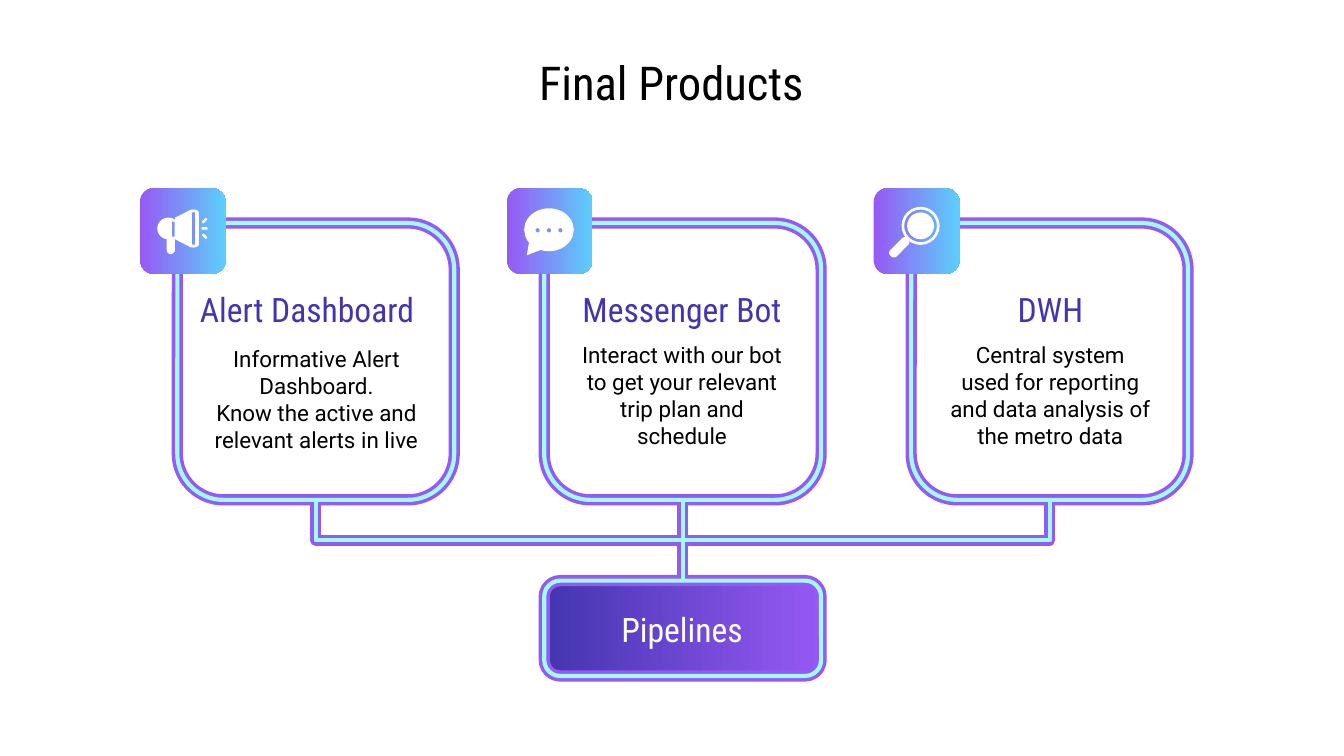
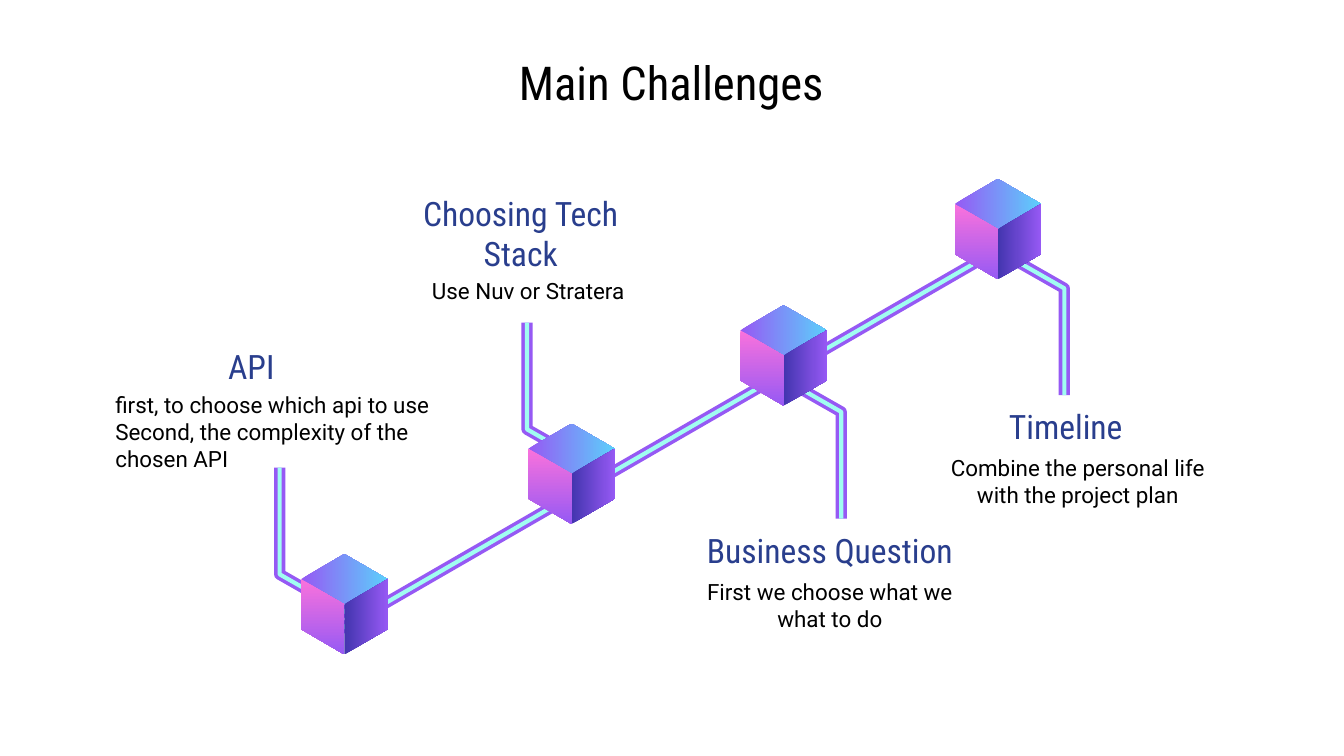
from lxml import etree
from pptx import Presentation
from pptx.dml.color import RGBColor
from pptx.enum import shapes, text
from pptx.oxml import ns
from pptx.util import Pt

BLACK = RGBColor(0x00, 0x00, 0x00)
WHITE = RGBColor(0xFF, 0xFF, 0xFF)
VIOLET = RGBColor(0x96, 0x59, 0xF4)
MINT = RGBColor(0xA0, 0xFD, 0xF1)
SKY = RGBColor(0x5C, 0xCF, 0xFB)
PINK = RGBColor(0xFA, 0x72, 0xDC)
INDIGO = RGBColor(0x43, 0x35, 0xAF)
NAVY = RGBColor(0x29, 0x3E, 0x8D)
MID = RGBColor(0x7B, 0x93, 0xF7)

HEAD = "Roboto Condensed"
BODY = "Roboto"
TRACK = ((VIOLET, 6), (MINT, 2.25))

KIND = shapes.MSO_SHAPE
LINK = shapes.MSO_CONNECTOR
MIDDLE = text.MSO_ANCHOR.MIDDLE
TOP = text.MSO_ANCHOR.TOP
CENTER = text.PP_ALIGN.CENTER
LEFT = text.PP_ALIGN.LEFT

CARD = 148.32
CARD_X, CARD_Y, STEP = 95.04, 119.52, 196.56
BASE_Y, BASE_H = 311.04, 51.12


def paint(shape, fill=None, line=None, angle=0):
    """fill: a colour, a pair of gradient colours or None; line: (colour, width)."""
    shape.shadow.inherit = False
    if fill is None:
        shape.fill.background()
    elif isinstance(fill, RGBColor):
        shape.fill.solid()
        shape.fill.fore_color.rgb = fill
    else:
        shape.fill.gradient()
        shape.fill.gradient_angle = -angle % 360
        for stop, color, place in zip(shape.fill.gradient_stops, fill, (0, 1)):
            stop.color.rgb = color
            stop.position = place
    if line:
        shape.line.color.rgb = line[0]
        shape.line.width = Pt(line[1])
    else:
        shape.line.fill.background()
    return shape


def add_form(slide, kind, box, fill=None, line=None, adj=None, turn=0):
    shape = slide.shapes.add_shape(kind, *map(Pt, box))
    if adj is not None:
        shape.adjustments[0] = adj
    shape.rotation = turn
    return paint(shape, fill, line)


def add_round(slide, box, adj=0.167, **look):
    return add_form(slide, KIND.ROUNDED_RECTANGLE, box, adj=adj, **look)


def add_disc(slide, x, y, r, kind=KIND.OVAL, **look):
    return add_form(slide, kind, (x - r, y - r, 2 * r, 2 * r), **look)


def add_path(slide, dots, close=True, **look):
    first, *rest = [(Pt(x), Pt(y)) for x, y in dots]
    maker = slide.shapes.build_freeform(*first)
    maker.add_line_segments(rest, close=close)
    return paint(maker.convert_to_shape(), **look)


def add_link(slide, kind, ends, line):
    link = slide.shapes.add_connector(kind, *map(Pt, ends))
    link.line.color.rgb = line[0]
    link.line.width = Pt(line[1])
    etree.SubElement(link._element.spPr, ns.qn("a:effectLst"))
    return link


def add_elbow(slide, x, y, span, drop, side, line):
    """Down, across and down about (x, y); side 1 runs right, -1 runs left."""
    half = side * drop / 2
    ends = (x + half, y - span / 2, x - half, y + span / 2)
    link = add_link(slide, LINK.ELBOW, ends, line)
    turn = 270 if side > 0 else 90
    link._element.spPr.find(ns.qn("a:xfrm")).set("rot", str(turn * 60000))


def add_text(slide, words, box, size=12, font=BODY, color=BLACK,
             align=CENTER, anchor=MIDDLE, indent=0):
    frame = slide.shapes.add_textbox(*map(Pt, box)).text_frame
    frame.word_wrap = True
    frame.vertical_anchor = anchor
    for side in ("left", "top", "right", "bottom"):
        setattr(frame, "margin_" + side, Pt(7.2))
    para = frame.paragraphs[0]
    para.text = words
    para.alignment = align
    if indent:
        para._p.get_or_add_pPr().set("marL", str(Pt(indent)))
    for run in para.runs:
        run.font.size = Pt(size)
        run.font.name = font
        run.font.color.rgb = color


def add_head(slide, words, box, color):
    add_text(slide, words, box, size=18, font=HEAD, color=color)


def add_slide(deck, title):
    slide = deck.slides.add_slide(deck.slide_layouts[6])
    add_text(slide, title, (40.32, 23.76, 638.64, 40.32), size=25, font=HEAD)
    return slide


def draw_horn(slide, x, y):
    add_round(slide, (x + 9.4, y + 15.8, 12, 11.6), adj=0.5, fill=WHITE)
    add_round(slide, (x + 14.4, y + 24, 4.4, 11.4), adj=0.5, fill=WHITE)
    cone = ((19, 15.8), (27.4, 11.5), (29, 11.5), (29, 31.7), (27.4, 31.7), (19, 27.4))
    add_path(slide, [(x + dx, y + dy) for dx, dy in cone], fill=WHITE)
    add_round(slide, (x + 26.8, y + 11.5, 4.9, 20.2), adj=0.4, fill=WHITE)
    for dx, dy, w, h in ((17.3, 18, 1.4, 8), (28.1, 13, 1.5, 17.3)):
        add_form(slide, KIND.RECTANGLE, (x + dx, y + dy, w, h), fill=MID)
    for way in (-1, 0, 1):
        add_round(slide, (x + 33, y + 20.9 + 4.2 * way, 3.4, 1.4),
                  adj=0.5, fill=WHITE, turn=45 * way)


def draw_chat(slide, x, y):
    add_form(slide, KIND.OVAL, (x + 9.4, y + 10.8, 26.6, 23), fill=WHITE)
    tail = ((12, 29), (10.8, 36), (18.5, 33))
    add_path(slide, [(x + dx, y + dy) for dx, dy in tail], fill=WHITE)
    for i in range(3):
        add_disc(slide, x + 16.6 + 6.1 * i, y + 22.6, 1.1, fill=MID)


def draw_lens(slide, x, y):
    add_disc(slide, x + 25.2, y + 20.2, 10.2, kind=KIND.DONUT, adj=0.07, fill=WHITE)
    add_disc(slide, x + 25.2, y + 20.2, 7.2, fill=WHITE)
    add_round(slide, (x + 7.3, y + 29.3, 13, 4.8), adj=0.4, fill=WHITE, turn=-45)


def draw_cube(slide, x, y):
    """An isometric cube with its top corner at (x, y)."""
    w, h, deep = 23.2, 13.5, 26.8
    near = (x, y + 2 * h)
    foot = (x, y + 2 * h + deep)
    left, right = (x - w, y + h), (x + w, y + h)
    add_path(slide, [(x, y), right, near, left], fill=(VIOLET, SKY))
    add_path(slide, [left, near, foot, (x - w, y + h + deep)],
             fill=(PINK, VIOLET), angle=90)
    add_path(slide, [right, near, foot, (x + w, y + h + deep)], fill=(INDIGO, VIOLET))


def draw_arm(slide, x, y, way):
    """A bent track from (x, y): way 1 goes right and down, -1 left and up."""
    side, bend = x + 37.4 * way, y + 21.3 * way
    for line in TRACK:
        add_path(slide, [(x, y), (side, bend), (side, bend + 57.2 * way)],
                 close=False, line=line)


def make_products(deck):
    slide = add_slide(deck, "Final Products")
    cards = (
        (draw_horn, "Alert Dashboard", (98.64, 155.52, 131.76, 20.16),
         "Informative Alert Dashboard.\nKnow the active and relevant alerts in live",
         (103.68, 177.84, 131.76, 59.76)),
        (draw_chat, "Messenger Bot", (304.56, 155.52, 121.68, 20.16),
         "Interact with our bot to get your relevant trip plan and schedule",
         (304.56, 175.68, 121.68, 59.76)),
        (draw_lens, "DWH", (501.84, 155.52, 121.68, 20.16),
         "Central system used for reporting and data analysis of the metro data",
         (501.84, 175.68, 121.68, 59.76)),
    )
    lefts = [CARD_X + STEP * i for i in range(len(cards))]
    base = (lefts[1], BASE_Y, CARD, BASE_H)
    mid = lefts[1] + CARD / 2
    low = CARD_Y + CARD
    drop = BASE_Y - low
    for line in TRACK:
        frames = [add_round(slide, (x, CARD_Y, CARD, CARD), line=line) for x in lefts]
        fill = (INDIGO, VIOLET) if line is TRACK[0] else None
        pipe = add_round(slide, base, fill=fill, line=line)
        for side in (1, -1):
            add_elbow(slide, mid - side * STEP / 2, low + drop / 2, STEP, drop, side, line)
        link = add_link(slide, LINK.STRAIGHT, (mid, low, mid, BASE_Y), line)
        link.begin_connect(frames[1], 2)
        link.end_connect(pipe, 0)
    for x, (icon, head, top, words, box) in zip(lefts, cards):
        spot = (x - 20.16, 100.8)
        add_round(slide, (*spot, 46.08, 46.08), fill=(VIOLET, SKY))
        icon(slide, *spot)
        add_head(slide, head, top, INDIGO)
        add_text(slide, words, box, anchor=TOP)
    add_head(slide, "Pipelines", (304.56, 326.88, 121.68, 20.16), WHITE)


def make_hurdles(deck):
    slide = add_slide(deck, "Main Challenges")
    for x, y, way in ((413.3, 199.4, 1), (532.8, 133.2, 1),
                      (319.7, 251.3, -1), (187.2, 329, -1)):
        draw_arm(slide, x, y, way)
    for line in TRACK:
        add_link(slide, LINK.STRAIGHT, (543.6, 128.6, 180, 338.4), line)
    for x, y in ((184.5, 296.8), (306.2, 226.9), (419.8, 163.5), (534.6, 95.8)):
        draw_cube(slide, x, y)
    notes = (
        ("API", (51.12, 185.76, 167.04, 20.16),
         "first, to choose which api to use\nSecond, the complexity of the chosen API",
         (18.72, 211.68, 222.48, 38.88), dict(align=LEFT, indent=36)),
        ("Choosing Tech Stack", (198.72, 115.2, 160.56, 19.44),
         "Use Nuv or Stratera", (206.64, 135.36, 152.64, 40.32), {}),
        ("Timeline", (501.84, 218.16, 138.24, 20.16),
         "Combine the personal life with the project plan",
         (501.84, 237.6, 151.2, 40.32), {}),
        ("Business Question", (366.48, 284.4, 156.24, 20.16),
         "First we choose what we what to do", (366.48, 303.84, 156.24, 40.32), {}),
    )
    for head, top, words, box, look in notes:
        add_head(slide, head, top, NAVY)
        add_text(slide, words, box, **look)


def main():
    deck = Presentation()
    deck.slide_width, deck.slide_height = Pt(720), Pt(405)
    make_products(deck)
    make_hurdles(deck)
    deck.save("out.pptx")


if __name__ == "__main__":
    main()
